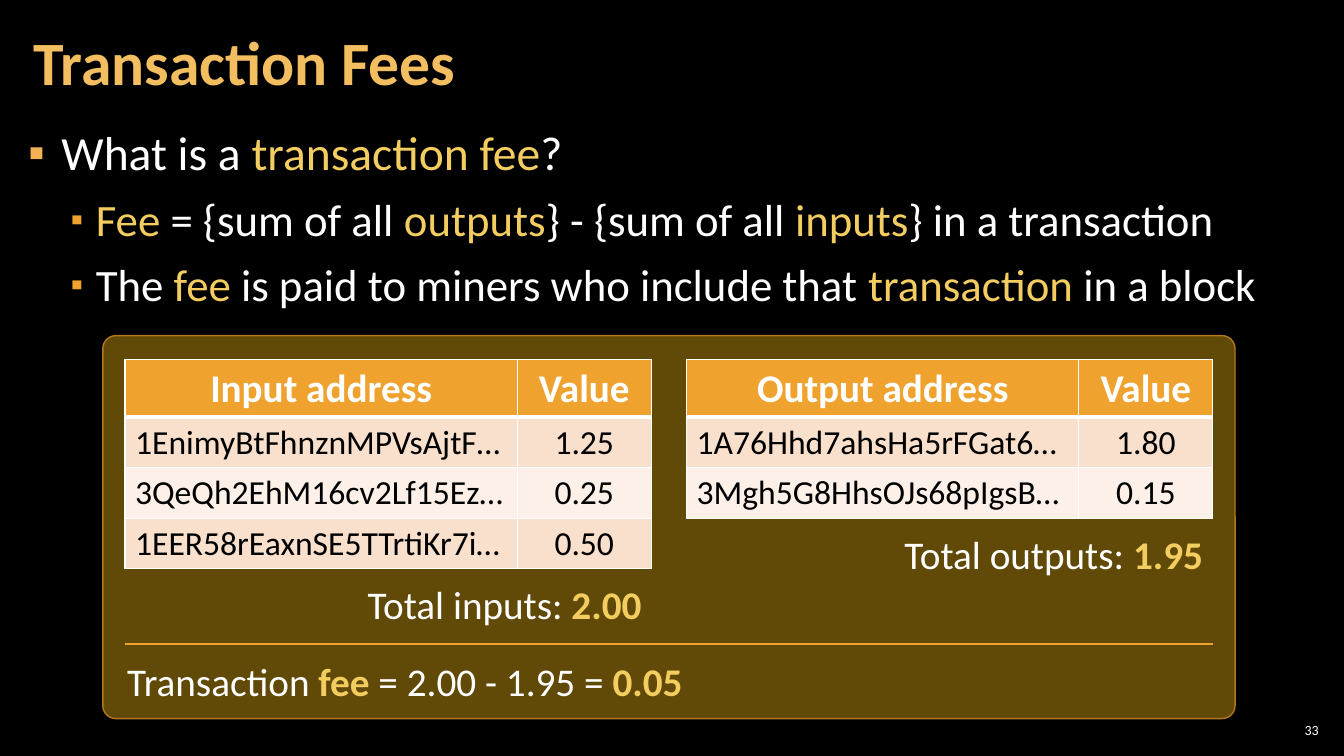
from lxml.etree import SubElement
from pptx import Presentation
from pptx.dml.color import RGBColor
from pptx.enum.shapes import MSO_CONNECTOR, MSO_SHAPE
from pptx.enum.text import MSO_ANCHOR, PP_ALIGN
from pptx.oxml.ns import qn
from pptx.util import Pt

PX = 9144  # 100 px to the inch
FONT = "Calibri"
WHITE, BLACK, ORANGE, GOLD = "FFFFFF", "000000", "F0A22E", "F3CD60"
BANDS = ("F9E0CD", "FCF0E8")
ADDRESS_WIDTH, VALUE_WIDTH = 389, 133
TABLE_WIDTH = ADDRESS_WIDTH + VALUE_WIDTH
HEADER_HEIGHT, ROW_HEIGHT = 57, 50


def px(*lengths):
    return [length * PX for length in lengths]


def color(hex_code):
    return RGBColor.from_string(hex_code)


def style(para, size, hex_code=None, bold=None, align=None):
    para.font.name, para.font.size = FONT, Pt(size)
    if hex_code:
        para.font.color.rgb = color(hex_code)
    if bold is not None:
        para.font.bold = bold
    if align is not None:
        para.alignment = align


def add_spans(para, text, bold_accents=False):
    """Parts of the text between asterisks take the accent colour."""
    for index, part in enumerate(text.split("*")):
        if part:
            span = para.add_run()
            span.text = part
            accent = index % 2 == 1
            span.font.color.rgb = color(GOLD if accent else WHITE)
            if accent and bold_accents:
                span.font.bold = True


def add_frame(page, box, side=10, edge=5, anchor=MSO_ANCHOR.TOP):
    frame = page.shapes.add_textbox(*px(*box)).text_frame
    frame.word_wrap = True
    frame.vertical_anchor = anchor
    frame.margin_left, frame.margin_right = px(side, side)
    frame.margin_top, frame.margin_bottom = px(edge, edge)
    return frame


def add_bullet(para, hex_code, percent):
    props = para._p.get_or_add_pPr()
    SubElement(SubElement(props, qn("a:buClr")), qn("a:srgbClr"), val=hex_code)
    SubElement(props, qn("a:buSzPct"), val=str(percent * 1000))
    SubElement(props, qn("a:buFont"), typeface="Arial")
    SubElement(props, qn("a:buChar"), char="▪")


def add_title(page, box, text):
    frame = add_frame(page, box, 12, 4, MSO_ANCHOR.MIDDLE)
    para = frame.paragraphs[0]
    para.text = text
    para.line_spacing = 0.9
    style(para, 44, "F3BE60", True)


def add_outline(page, box, items):
    # level: left indent, hanging indent, size, bullet colour, bullet percent
    levels = ((33, 33, 34, "F2B254", 100), (67, 25, 32, ORANGE, 80))
    frame = add_frame(page, box, 12, 4)
    for index, (level, text) in enumerate(items):
        left, hanging, size, bullet_color, percent = levels[level]
        para = frame.paragraphs[0] if index == 0 else frame.add_paragraph()
        para.level = level
        para.line_spacing = 0.9
        para.space_after = Pt(6)
        if index:
            para.space_before = Pt(6)
        props = para._p.get_or_add_pPr()
        props.set("marL", str(left * PX))
        props.set("indent", str(-hanging * PX))
        add_bullet(para, bullet_color, percent)
        style(para, size)
        add_spans(para, text)


def add_sum(page, box, text, align):
    para = add_frame(page, box).paragraphs[0]
    style(para, 28, align=align)
    add_spans(para, text, bold_accents=True)


def add_borders(cell, bottom):
    props = cell._tc.get_or_add_tcPr()
    for side, points in (("L", 1), ("R", 1), ("T", 1), ("B", bottom)):
        line = SubElement(props, qn("a:ln" + side), w=str(Pt(points)))
        SubElement(SubElement(line, qn("a:solidFill")), qn("a:srgbClr"), val=WHITE)


def add_address_table(page, left, top, rows, total):
    """Draws one side of the transaction with its total below."""
    height = HEADER_HEIGHT + ROW_HEIGHT * (len(rows) - 1)
    table = page.shapes.add_table(
        len(rows), 2, *px(left, top, TABLE_WIDTH, height)).table
    table.columns[0].width, table.columns[1].width = px(ADDRESS_WIDTH, VALUE_WIDTH)
    for row_index, row in enumerate(rows):
        header = row_index == 0
        table.rows[row_index].height = (HEADER_HEIGHT if header else ROW_HEIGHT) * PX
        for column, text in enumerate(row):
            cell = table.cell(row_index, column)
            add_borders(cell, 3 if header else 1)
            cell.fill.solid()
            cell.fill.fore_color.rgb = color(
                ORANGE if header else BANDS[(row_index - 1) % 2])
            cell.text = text
            centred = header or column == 1
            style(cell.text_frame.paragraphs[0], 28 if header else 24,
                  WHITE if header else BLACK, header,
                  PP_ALIGN.CENTER if centred else PP_ALIGN.LEFT)
    add_sum(page, (left, top + height + 7, TABLE_WIDTH, 57), total, PP_ALIGN.RIGHT)


def add_ledger(page, box, inputs, outputs, fee):
    left, top, width, height = box
    pad = 22
    inner_left, inner_right = left + pad, left + width - pad
    # Panel
    panel = page.shapes.add_shape(MSO_SHAPE.ROUNDED_RECTANGLE, *px(*box))
    panel.adjustments[0] = 0.034
    panel.shadow.inherit = False
    panel.fill.solid()
    panel.fill.fore_color.rgb = color("614907")
    panel.line.color.rgb = color("B27822")
    panel.line.width = Pt(1)
    # Inputs on the left, outputs on the right
    for table_left, (rows, total) in ((inner_left, inputs),
                                      (inner_right - TABLE_WIDTH, outputs)):
        add_address_table(page, table_left, top + 24, rows, total)
    # Fee below a rule
    add_sum(page, (left + 5, top + 314, 589, 57), fee, PP_ALIGN.CENTER)
    rule_top = top + 306
    rule = page.shapes.add_connector(
        MSO_CONNECTOR.STRAIGHT, *px(inner_left, rule_top, inner_right, rule_top))
    rule.line.color.rgb = color(ORANGE)
    rule.line.width = Pt(2)
    SubElement(rule._element.spPr, qn("a:effectLst"))


def add_page_number(page, box, number):
    para = add_frame(page, box, 4, 4, MSO_ANCHOR.MIDDLE).paragraphs[0]
    para.text = number
    style(para, 10, WHITE, align=PP_ALIGN.RIGHT)


def main():
    deck = Presentation()
    deck.slide_width, deck.slide_height = px(1333, 750)
    page = deck.slides.add_slide(deck.slide_layouts[6])
    page.background.fill.solid()
    page.background.fill.fore_color.rgb = color(BLACK)

    add_page_number(page, (1265, 714, 47, 21), "33")
    add_outline(page, (16, 124, 1291, 601), (
        (0, "What is a *transaction fee*?"),
        (1, "*Fee* = {sum of all *outputs*} - {sum of all *inputs*} in a transaction"),
        (1, "The *fee* is paid to miners who include that *transaction* in a block"),
    ))
    add_title(page, (21, 4, 1047, 121), "Transaction Fees")
    inputs = (
        ("Input address", "Value"),
        ("1EnimyBtFhnznMPVsAjtF…", "1.25"),
        ("3QeQh2EhM16cv2Lf15Еz…", "0.25"),
        ("1EER58rEaxnSE5TTrtiKr7i…", "0.50"),
    )
    outputs = (
        ("Output address", "Value"),
        ("1A76Hhd7ahsHa5rFGat6…", "1.80"),
        ("3Mgh5G8HhsOJs68pIgsB…", "0.15"),
    )
    add_ledger(page, (102, 333, 1123, 380),
               (inputs, "Total inputs: *2.00*"),
               (outputs, "Total outputs: *1.95*"),
               "Transaction *fee* = 2.00 - 1.95 = *0.05*")
    deck.save("out.pptx")


if __name__ == "__main__":
    main()
